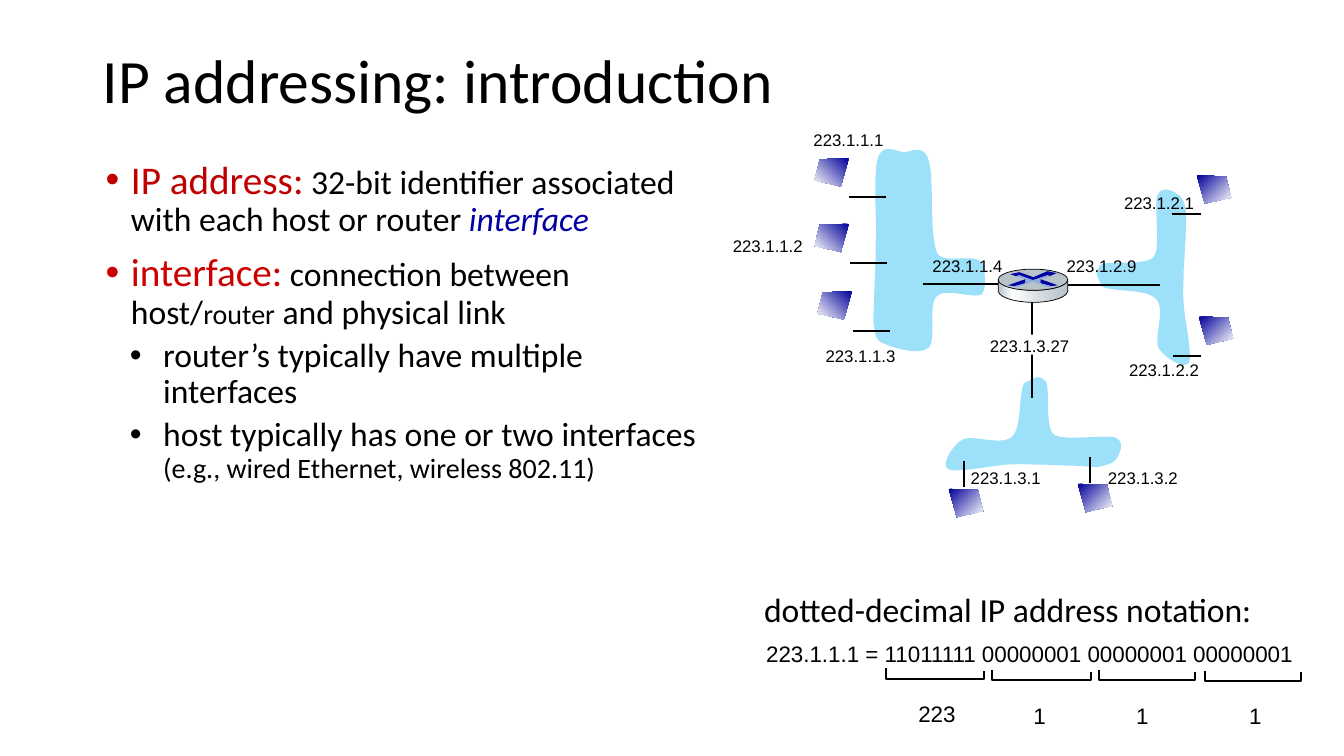
from copy import deepcopy

from lxml import etree
from pptx import Presentation
from pptx.dml.color import RGBColor
from pptx.enum.shapes import MSO_CONNECTOR, MSO_SHAPE
from pptx.enum.text import MSO_ANCHOR, MSO_AUTO_SIZE
from pptx.oxml.ns import qn
from pptx.util import Inches, Pt

LINE, RECT, OVAL = MSO_CONNECTOR.STRAIGHT, MSO_SHAPE.RECTANGLE, MSO_SHAPE.OVAL
MIDDLE, GROW = MSO_ANCHOR.MIDDLE, MSO_AUTO_SIZE.SHAPE_TO_FIT_TEXT

BLACK, WHITE, SKY, NAVY, STEEL = "000000", "FFFFFF", "9CE0FA", "0000A3", "B8C2C9"
BODY = {"name": "Calibri", "size": Pt(24), "color": BLACK}
SMALL = {**BODY, "size": Pt(20)}
TERM = {**BODY, "size": Pt(28), "color": "C00000"}
TITLE = {**BODY, "size": Pt(44)}
ADDRESS = {"name": "Arial", "size": Pt(12), "color": BLACK}
BINARY = {**ADDRESS, "size": Pt(16)}

# bullet level, runs
BULLETS = [
    (0, [("IP address:", TERM), (" 32-bit identifier associated with each host or router ", BODY),
         ("interface", {**BODY, "color": NAVY, "italic": True})]),
    (0, [("interface:", {**TERM, "color": "CC0000"}), (" connection between host/", BODY),
         ("router", SMALL), (" and physical link", BODY)]),
    (1, [("router’s typically have multiple interfaces", BODY)]),
    (1, [("host typically has one or two interfaces ", BODY),
         ("(e.g., wired Ethernet, wireless 802.11)", SMALL)]),
]
# left margin, hanging indent, space before
LEVELS = [(0.25, 0.25, 10), (0.57, 0.33, 5)]

# start point, then two control points and an end point per curve
SUBNETS = [
    [(10.16, 3.8), (10.1, 3.89), (10.14, 4.23), (10.04, 4.33), (9.94, 4.43), (9.66, 4.31),
     (9.55, 4.36), (9.45, 4.41), (9.33, 4.61), (9.4, 4.65), (9.47, 4.7), (9.83, 4.62),
     (9.98, 4.61), (10.13, 4.6), (10.21, 4.61), (10.32, 4.61), (10.43, 4.61), (10.53, 4.62),
     (10.63, 4.62), (10.72, 4.62), (10.84, 4.64), (10.91, 4.63), (10.99, 4.61), (11.06, 4.59),
     (11.08, 4.54), (11.11, 4.49), (11.16, 4.38), (11.06, 4.34), (10.95, 4.31), (10.54, 4.38),
     (10.45, 4.31), (10.36, 4.23), (10.42, 3.85), (10.37, 3.78), (10.29, 3.73), (10.32, 3.72),
     (10.16, 3.8)],
    [(10.93, 2.84), (11.02, 2.9), (11.36, 2.86), (11.46, 2.96), (11.57, 3.06), (11.44, 3.34),
     (11.49, 3.45), (11.55, 3.55), (11.75, 3.67), (11.79, 3.6), (11.83, 3.53), (11.75, 3.17),
     (11.74, 3.02), (11.73, 2.87), (11.74, 2.79), (11.74, 2.68), (11.75, 2.57), (11.75, 2.47),
     (11.76, 2.37), (11.76, 2.27), (11.77, 2.16), (11.76, 2.09), (11.75, 2.01), (11.72, 1.94),
     (11.67, 1.92), (11.63, 1.89), (11.52, 1.84), (11.48, 1.94), (11.44, 2.05), (11.52, 2.46),
     (11.44, 2.55), (11.37, 2.64), (10.98, 2.58), (10.91, 2.63), (10.87, 2.71), (10.85, 2.68),
     (10.93, 2.84)],
    [(9.76, 2.66), (9.74, 2.47), (9.39, 2.64), (9.3, 2.52), (9.21, 2.34), (9.27, 1.76),
     (9.21, 1.59), (9.16, 1.42), (9.04, 1.51), (8.96, 1.51), (8.88, 1.5), (8.76, 1.42),
     (8.71, 1.56), (8.66, 1.69), (8.69, 2.13), (8.69, 2.31), (8.68, 2.49), (8.69, 2.54),
     (8.68, 2.65), (8.68, 2.76), (8.67, 2.86), (8.67, 2.96), (8.67, 3.06), (8.65, 3.17),
     (8.67, 3.24), (8.68, 3.32), (8.68, 3.38), (8.77, 3.41), (8.86, 3.45), (9.12, 3.53),
     (9.21, 3.45), (9.29, 3.38), (9.2, 3.03), (9.29, 2.94), (9.38, 2.85), (9.66, 2.97),
     (9.74, 2.92), (9.77, 2.84), (9.78, 2.85), (9.76, 2.66)],
]
ROUTER_SIDE = [(10.59, 2.89), (10.57, 2.97), (10.37, 3), (10.25, 3), (10.13, 3), (9.92, 2.97),
               (9.9, 2.89), (9.9, 2.87), (9.9, 2.81), (9.9, 2.78), (9.93, 2.85), (10.13, 2.88),
               (10.25, 2.88), (10.36, 2.88), (10.56, 2.86), (10.59, 2.78)]
ROUTER_ARROWS = [
    (NAVY, [(10.39, 2.69), (10.48, 2.71), (10.41, 2.74), (10.39, 2.73), (10.24, 2.78), (10.11, 2.73),
            (10.08, 2.74), (10.02, 2.72), (10.11, 2.7), (10.25, 2.75)]),
    (NAVY, [(10.32, 2.77), (10.49, 2.83), (10.43, 2.84), (10.32, 2.81)]),
    ("0000A8", [(10.17, 2.77), (10.17, 2.81), (10.06, 2.84), (10, 2.83)]),
    ("8FAADC", [(10.08, 2.74), (10.11, 2.73), (10.25, 2.78), (10.39, 2.73), (10.42, 2.74),
                (10.32, 2.77), (10.32, 2.81), (10.43, 2.84), (10.4, 2.85), (10.25, 2.79),
                (10.09, 2.85), (10.06, 2.84), (10.17, 2.81), (10.17, 2.77)]),
]
ROUTER_SHADES = [(0, STEEL), (0.21, WHITE), (0.6, "D6DCE0"), (1, STEEL)]

SCREEN = [(0, 0), (0.29, 0.01), (0.34, 0.22), (0.08, 0.28)]
SCREEN_WIDTH = 0.34
SCREEN_SHADES = [(0, "000099"), (1, WHITE)]
# left, top, faces left
HOSTS = [(8.08, 1.57, True), (8.08, 2.22, True), (8.11, 2.89, True), (11.87, 1.74, False),
         (11.89, 3.14, False), (10.69, 4.8, False), (9.41, 4.85, False)]
ADDRESSES = [("223.1.1.1", 7.97, 1.24), ("223.1.1.3", 8.09, 3.38),
             ("223.1.1.4", 9.15, 2.49), ("223.1.2.9", 10.48, 2.49), ("223.1.2.2", 11.1, 3.52),
             ("223.1.2.1", 11.05, 1.86), ("223.1.3.2", 10.89, 4.59), ("223.1.3.1", 9.53, 4.59)]
# text, left, top, width, then the white backing
BACKED_ADDRESSES = [("223.1.1.2", 7.17, 2.29, 0.9, (7.27, 2.37, 0.91, 0.2)),
                    ("223.1.3.27", 9.72, 3.28, 1, (9.78, 3.32, 0.93, 0.2))]
ROUTER_LINK = (10.24, 2.99, 10.24, 3.95)
LINKS = [(8.42, 1.95, 8.79, 1.95), (8.43, 2.61, 8.8, 2.61), (8.46, 3.28, 8.83, 3.28),
         (9.15, 2.82, 10.02, 2.82), (10.44, 2.83, 11.51, 2.83), (11.62, 2.12, 11.91, 2.12),
         (11.63, 3.53, 11.91, 3.53), (9.56, 4.57, 9.56, 4.83), (10.81, 4.53, 10.81, 4.79)]
# left, right, bottom, left rise, right rise, then value with its left, top, width
OCTETS = [(8.79, 9.76, 6.74, 0.11, 0.08, ("223", 9.01, 6.9, 0.57)),
          (9.84, 10.82, 6.75, 0.1, 0.08, ("1", 10.15, 6.92, 0.32)),
          (10.9, 11.85, 6.75, 0.1, 0.08, ("1", 11.17, 6.92, 0.32)),
          (11.95, 12.9, 6.76, 0.1, 0.09, ("1", 12.29, 6.92, 0.32))]

prs = Presentation()
prs.slide_width, prs.slide_height = Inches(13.33), Inches(7.5)
shapes = prs.slides.add_slide(prs.slide_layouts[6]).shapes


def rgb(value):
    return RGBColor.from_string(value)


def add_run(p, text, style):
    r = p.add_run()
    r.text = text
    for key, value in style.items():
        if key == "color":
            r.font.color.rgb = rgb(value)
        else:
            setattr(r.font, key, value)


def text_box(left, top, width, height, wrap=True):
    tf = shapes.add_textbox(*map(Inches, (left, top, width, height))).text_frame
    tf.word_wrap = wrap
    if not wrap:
        tf.auto_size = GROW
    return tf


def label(text, left, top, width, height, style):
    add_run(text_box(left, top, width, height, False).paragraphs[0], text, style)


def paint(sp, fill=None, line=None, width=1.5):
    sp.shadow.inherit = False
    if fill:
        sp.fill.solid()
        sp.fill.fore_color.rgb = rgb(fill)
    else:
        sp.fill.background()
    if line:
        sp.line.color.rgb = rgb(line)
        sp.line.width = Pt(width)
    else:
        sp.line.fill.background()


def shade(sp, stops, angle):
    """Fill with a linear gradient; the angle runs counter-clockwise."""
    sp.fill.gradient()
    sp.fill.gradient_angle = angle
    stop_list = sp._element.spPr.find(".//" + qn("a:gsLst"))
    while len(stop_list) < len(stops):
        stop_list.append(deepcopy(stop_list[0]))
    for stop, (position, color) in zip(sp.fill.gradient_stops, stops):
        stop.position = position
        stop.color.rgb = rgb(color)


def outline(points, close=True):
    points = [(Inches(x), Inches(y)) for x, y in points]
    fb = shapes.build_freeform(*points[0])
    fb.add_line_segments(points[1:], close=close)
    return fb.convert_to_shape()


def curve(points):
    """Closed outline whose segments are cubic Bézier curves."""
    sp = outline(points[::3])
    segments = list(sp._element.spPr.iter(qn("a:lnTo")))
    for i, segment in enumerate(segments):
        segment.tag = qn("a:cubicBezTo")
        end = segment[0]
        for x, y in points[3 * i + 1:3 * i + 3]:
            pt = etree.Element(qn("a:pt"), x=str(Inches(x) - sp.left), y=str(Inches(y) - sp.top))
            end.addprevious(pt)
    return sp


def link(*ends):
    sp = shapes.add_connector(LINE, *map(Inches, ends))
    sp.line.color.rgb = rgb(BLACK)
    sp.line.width = Pt(1.5)
    etree.SubElement(sp._element.spPr, qn("a:effectLst"))


tf = text_box(0.95, 1.54, 6.08, 5.3)
for i, (level, runs) in enumerate(BULLETS):
    p = tf.add_paragraph() if i else tf.paragraphs[0]
    margin, hang, before = LEVELS[level]
    pPr = p._p.get_or_add_pPr()
    pPr.set("marL", str(Inches(margin)))
    pPr.set("indent", str(-Inches(hang)))
    etree.SubElement(pPr, qn("a:buFont"), typeface="Arial")
    etree.SubElement(pPr, qn("a:buChar"), char="•")
    p.line_spacing = 0.9
    p.space_before = Pt(before if i else 0)
    for text, style in runs:
        add_run(p, text, style)

tf = text_box(0.92, 0.34, 11.5, 0.98)
tf.vertical_anchor = MIDDLE
tf.paragraphs[0].line_spacing = 0.9
add_run(tf.paragraphs[0], "IP addressing: introduction", TITLE)

for subnet in SUBNETS:
    paint(curve(subnet), SKY)
for text, left, top in ADDRESSES:
    label(text, left, top, 0.9, 0.3, ADDRESS)
link(*ROUTER_LINK)
for text, left, top, width, backing in BACKED_ADDRESSES:
    paint(shapes.add_shape(RECT, *map(Inches, backing)), WHITE)
    label(text, left, top, width, 0.3, ADDRESS)

for left, top, faces_left in HOSTS:
    sp = outline([(left + (SCREEN_WIDTH - x if faces_left else x), top + y) for x, y in SCREEN])
    paint(sp)
    shade(sp, SCREEN_SHADES, 225 if faces_left else 315)
for ends in LINKS:
    link(*ends)

sp = curve(ROUTER_SIDE)
paint(sp, line=BLACK, width=0.5)
shade(sp, ROUTER_SHADES, 0)
paint(shapes.add_shape(OVAL, *map(Inches, (9.9, 2.67, 0.69, 0.21))), STEEL, BLACK, 0.5)
for color, points in ROUTER_ARROWS:
    paint(outline(points), color)

label("dotted-decimal IP address notation:", 7.48, 5.79, 5.09, 0.5, BODY)
label("223.1.1.1 = 11011111 00000001 00000001 00000001", 7.5, 6.3, 5.52, 0.42, BINARY)
for left, right, bottom, left_rise, right_rise, (value, x, y, width) in OCTETS:
    bracket = [(left, bottom - left_rise), (left, bottom), (right, bottom), (right, bottom - right_rise)]
    paint(outline(bracket, close=False), line=BLACK)
    label(value, x, y, width, 0.42, BINARY)

prs.save("out.pptx")
